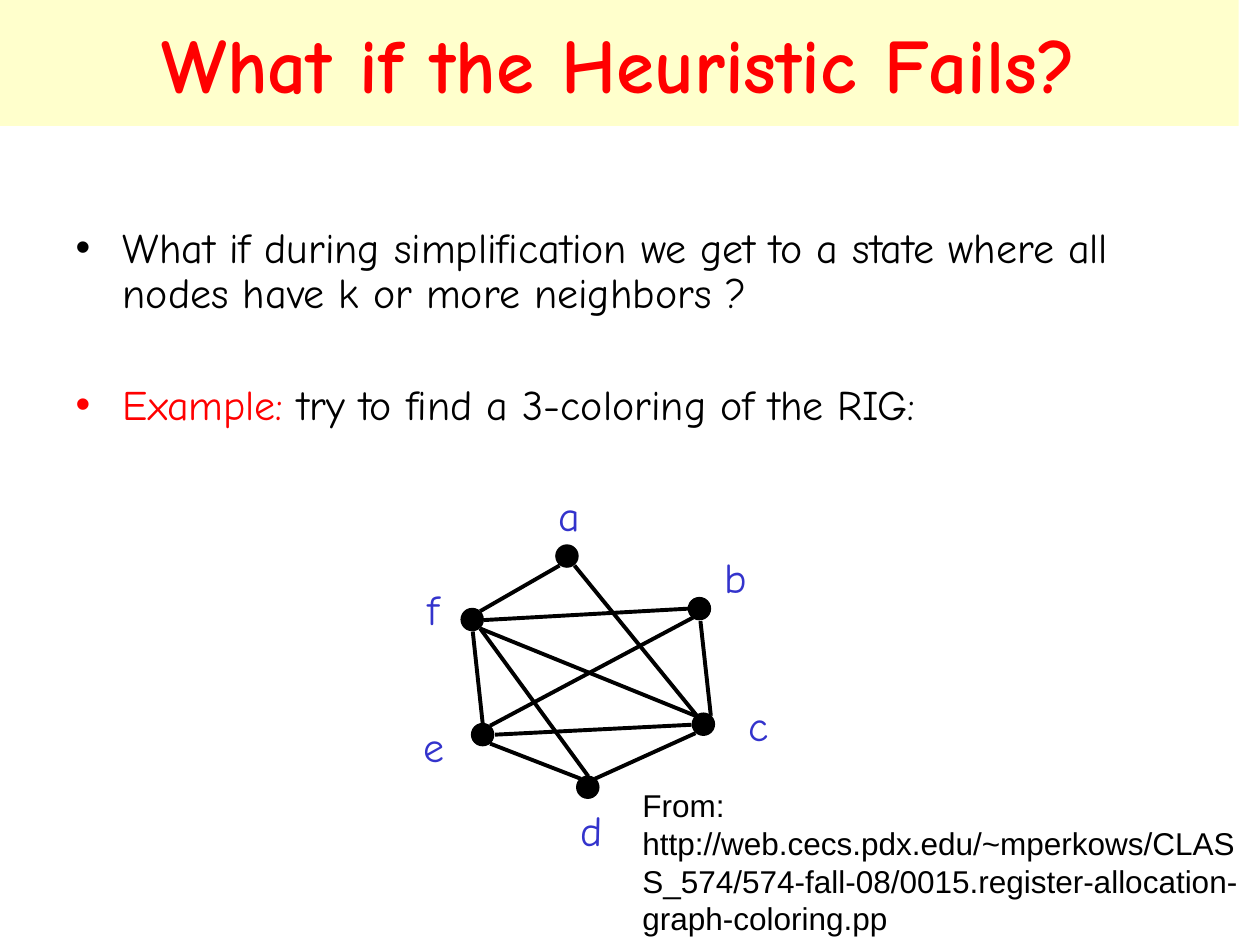
"""Build the slide about a failing graph-coloring heuristic, with its interference graph."""
import pptx
import pptx.dml.color
import pptx.enum.shapes
import pptx.enum.text
import pptx.oxml.ns
import pptx.util
from lxml import etree

Cm, Pt = pptx.util.Cm, pptx.util.Pt
COLORS = {"red": "FF0000", "black": "000000", "label": "3333CC", "banner": "FFFFCC"}


def rgb(name):
    return pptx.dml.color.RGBColor.from_string(COLORS[name])


def add_run(paragraph, text, size, color, name="Comic Neue", bold=False):
    run = paragraph.add_run()
    run.text = text
    run.font.size = Pt(size)
    run.font.name = name
    run.font.bold = bold
    run.font.color.rgb = rgb(color)


presentation = pptx.Presentation()
presentation.slide_width, presentation.slide_height = Cm(25.4), Cm(19.05)
slide = presentation.slides.add_slide(presentation.slide_layouts[1])

title = slide.shapes.title
title.left, title.top, title.width, title.height = Cm(0), Cm(0), Cm(24.97), Cm(2.54)
title.fill.solid()
title.fill.fore_color.rgb = rgb("banner")
title.text_frame.auto_size = pptx.enum.text.MSO_AUTO_SIZE.NONE
title.text_frame.vertical_anchor = pptx.enum.text.MSO_ANCHOR.MIDDLE
paragraph = title.text_frame.paragraphs[0]
paragraph.alignment = pptx.enum.text.PP_ALIGN.CENTER
add_run(paragraph, "What if the Heuristic Fails?", 44, "red", bold=True)

body = slide.placeholders[1]
body.left, body.top, body.width, body.height = Cm(1.27), Cm(4.45), Cm(23.06), Cm(4.45)
body.text_frame.auto_size = pptx.enum.text.MSO_AUTO_SIZE.NONE
bullets = [
    ("black", 0, [("What if during simplification we get to a state where all nodes have k or more neighbors ?", "black")]),
    ("red", 38, [("Example:", "red"), (" try to find a 3-coloring of the RIG:", "black")]),
]
for index, (bullet_color, space_before, runs) in enumerate(bullets):
    paragraph = body.text_frame.add_paragraph() if index else body.text_frame.paragraphs[0]
    properties = paragraph._p.get_or_add_pPr()
    properties.set("marL", str(Cm(0.95)))
    properties.set("indent", str(Cm(-0.95)))
    color_element = etree.SubElement(properties, pptx.oxml.ns.qn("a:buClr"))
    etree.SubElement(color_element, pptx.oxml.ns.qn("a:srgbClr"), val=COLORS[bullet_color])
    etree.SubElement(properties, pptx.oxml.ns.qn("a:buChar"), char="•")
    paragraph.line_spacing = 0.9
    paragraph.space_before = Pt(space_before)
    for text, color in runs:
        add_run(paragraph, text, 24, color)

graph = slide.shapes.add_group_shape()
edges = [
    (14.02, 14.78, 11.99, 15.7),
    (11.58, 11.4, 14.05, 14.43),
    (14.12, 12.52, 14.33, 14.43),
    (13.87, 12.27, 9.75, 12.5),
    (13.97, 12.45, 9.88, 14.63),
    (13.94, 14.61, 9.98, 14.81),
    (11.28, 11.4, 9.68, 12.32),
    (11.71, 15.7, 9.88, 14.99),
    (9.73, 14.58, 9.53, 12.73),
    (14.02, 14.43, 9.68, 12.67),
    (11.86, 15.65, 9.68, 12.67),
]
for edge in edges:
    connector = graph.shapes.add_connector(
        pptx.enum.shapes.MSO_CONNECTOR.STRAIGHT, *(Cm(value) for value in edge))
    connector.line.color.rgb = rgb("black")
    connector.line.width = Pt(2.25)
    etree.SubElement(connector._element.spPr, pptx.oxml.ns.qn("a:effectLst"))

nodes = [
    ("a", 11.22, 11, 11, 9.74, 0.94),
    ("b", 13.89, 12.06, 14.35, 11, 0.97),
    ("c", 13.97, 14.39, 14.83, 13.97, 0.91),
    ("d", 11.64, 15.66, 11.46, 16.09, 0.94),
    ("e", 9.52, 14.6, 8.28, 14.39, 0.91),
    ("f", 9.31, 12.28, 8.36, 11.64, 0.74),
]
for name, left, top, label_left, label_top, label_width in nodes:
    node = graph.shapes.add_shape(
        pptx.enum.shapes.MSO_SHAPE.OVAL, Cm(left), Cm(top), Cm(0.42), Cm(0.42))
    node.shadow.inherit = False
    node.fill.solid()
    node.fill.fore_color.rgb = rgb("black")
    node.line.color.rgb = rgb("black")
    node.line.width = Pt(1.5)
    label = graph.shapes.add_textbox(Cm(label_left), Cm(label_top), Cm(label_width), Cm(1.27))
    label.text_frame.word_wrap = False
    add_run(label.text_frame.paragraphs[0], name, 24, "label")

source = slide.shapes.add_textbox(Cm(12.7), Cm(15.72), Cm(12.7), Cm(3.3))
source.text_frame.word_wrap = True
add_run(
    source.text_frame.paragraphs[0],
    "From: http://web.cecs.pdx.edu/~mperkows/CLASS_574/574-fall-08/0015.register-allocation-graph-coloring.pp",
    18, "black", name="Arial")

presentation.save("out.pptx")
